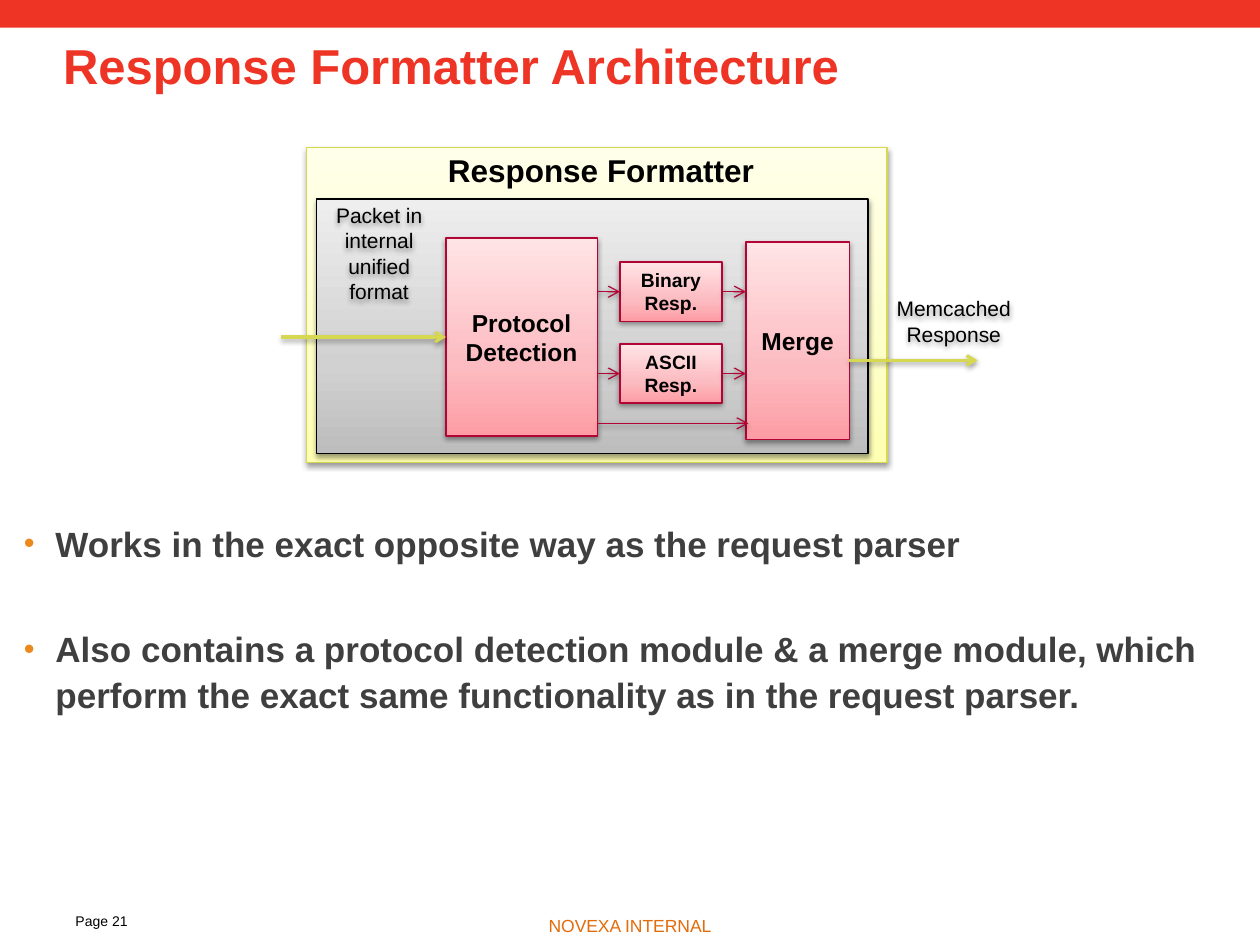
import copy
from dataclasses import dataclass
from typing import NamedTuple

import pptx
import pptx.dml.color
import pptx.enum.shapes
import pptx.enum.text
import pptx.oxml
import pptx.oxml.ns
import pptx.util
from pptx.util import Inches

ALIGN = pptx.enum.text.PP_ALIGN
ANCHOR = pptx.enum.text.MSO_ANCHOR
RECTANGLE = pptx.enum.shapes.MSO_SHAPE.RECTANGLE
STRAIGHT = pptx.enum.shapes.MSO_CONNECTOR.STRAIGHT
qn = pptx.oxml.ns.qn


@dataclass(frozen=True)
class Theme:
    font: str = "Arial"
    brand: str = "EE3424"
    body: str = "3F3F3F"
    bullet: str = "EC891D"
    footer: str = "E36C0A"
    ink: str = "000000"
    flow: str = "D7D851"
    module: str = "B20435"
    yellow_fill: tuple = ("FEFFB2", "FEFFC8", "FFFFEA")
    gray_fill: tuple = ("BDBDBD", "D1D1D1", "EEEEEE")
    pink_fill: tuple = ("FD9CA4", "FCBBC0", "FFE4E6")
    title_size: int = 28
    body_size: int = 20
    heading_size: int = 18
    module_size: int = 14
    label_size: int = 12
    response_size: int = 11
    footer_size: int = 10
    page_size: int = 8
    thin: float = 0.75
    thick: float = 1.75


THEME = Theme()


class Box(NamedTuple):
    left: float
    top: float
    width: float
    height: float

    @property
    def right(self):
        return self.left + self.width

    @property
    def middle(self):
        return self.top + self.height / 2

    def inner(self, left, top, width, height):
        return Box(self.left + left, self.top + top, width, height)

    def lengths(self):
        return [Inches(value) for value in self]


def apply_format(target, **values):
    for name, value in values.items():
        setattr(target, name, value)


def rgb(color):
    return pptx.dml.color.RGBColor.from_string(color)


def write_text(shape, lines, size, color, bold=False, paragraph_format=None, **frame_format):
    frame = shape.text_frame
    frame.text = "\n".join(lines)
    apply_format(frame, word_wrap=True, **frame_format)
    for paragraph in frame.paragraphs:
        apply_format(paragraph, **(paragraph_format or {"alignment": ALIGN.CENTER}))
        for run in paragraph.runs:
            apply_format(run.font, name=THEME.font, size=pptx.util.Pt(size), bold=bold)
            run.font.color.rgb = rgb(color)


def add_shadow(shape):
    properties = shape._element.spPr
    effects = properties.find(qn("a:effectLst"))
    if effects is None:
        effects = pptx.oxml.parse_xml(f'<a:effectLst {pptx.oxml.ns.nsdecls("a")}/>')
        properties.append(effects)
    effects.append(pptx.oxml.parse_xml(
        f'<a:outerShdw {pptx.oxml.ns.nsdecls("a")} blurRad="39370" dist="20320" '
        'dir="5400000" rotWithShape="0"><a:srgbClr val="000000">'
        '<a:alpha val="38000"/></a:srgbClr></a:outerShdw>'))


def add_panel(slide, box, colors, line_color):
    shape = slide.shapes.add_shape(RECTANGLE, *box.lengths())
    shape.shadow.inherit = False
    shape.fill.gradient()
    shape.fill.gradient_angle = 90
    stop_list = shape._element.spPr.find(".//" + qn("a:gsLst"))
    stop_list.append(copy.deepcopy(stop_list[0]))
    for stop, position, color in zip(shape.fill.gradient_stops, (0, 0.35, 1), colors):
        stop.position = position
        stop.color.rgb = rgb(color)
    shape.line.color.rgb = rgb(line_color)
    shape.line.width = pptx.util.Pt(THEME.thin)
    add_shadow(shape)
    return shape


def add_module(slide, box, text, size):
    shape = add_panel(slide, box, THEME.pink_fill, THEME.module)
    write_text(shape, [text], size, THEME.ink, True, vertical_anchor=ANCHOR.MIDDLE)


def add_arrow(slide, start, end, height, color, width):
    arrow = slide.shapes.add_connector(
        STRAIGHT, Inches(start), Inches(height), Inches(end), Inches(height))
    arrow.line.color.rgb = rgb(color)
    arrow.line.width = pptx.util.Pt(width)
    arrow.line._ln.append(pptx.oxml.parse_xml(
        f'<a:tailEnd {pptx.oxml.ns.nsdecls("a")} type="arrow"/>'))
    add_shadow(arrow)


def add_label(slide, box, lines, size, color=THEME.ink, bold=False, shadow=False, **paragraph_format):
    label = slide.shapes.add_textbox(*box.lengths())
    write_text(label, lines, size, color, bold, paragraph_format)
    if shadow:
        label.shadow.inherit = False
        add_shadow(label)


def place_placeholder(shape, box):
    apply_format(shape, **dict(zip(Box._fields, box.lengths())))


def build_header(slide, box):
    band = slide.shapes.add_shape(RECTANGLE, *box.lengths())
    band.shadow.inherit = False
    band.fill.solid()
    band.fill.fore_color.rgb = rgb(THEME.brand)
    band.line.fill.background()
    title = slide.shapes.title
    place_placeholder(title, box.inner(0.5, 0.23, 9, 0.61))
    write_text(title, ["Response Formatter Architecture"], THEME.title_size, THEME.brand, True,
               {"alignment": ALIGN.LEFT, "line_spacing": 0.98}, margin_left=0,
               vertical_anchor=ANCHOR.MIDDLE, auto_size=pptx.enum.text.MSO_AUTO_SIZE.NONE)


def build_diagram(slide, box):
    add_panel(slide, box, THEME.yellow_fill, THEME.flow)
    add_label(slide, box.inner(1, -0.02, 2.68, 0.4), ["Response Formatter"],
              THEME.heading_size, bold=True, alignment=ALIGN.CENTER)
    frame = box.inner(0.08, 0.41, 4.38, 2.02)
    add_panel(slide, frame, THEME.gray_fill, THEME.ink)
    detection = frame.inner(1.03, 0.31, 1.2, 1.57)
    merge = frame.inner(3.41, 0.34, 0.82, 1.57)
    add_module(slide, detection, "Protocol Detection", THEME.module_size)
    add_module(slide, merge, "Merge", THEME.module_size)
    for row, text in enumerate(("Binary Resp.", "ASCII Resp.")):
        response = frame.inner(2.41, 0.5 + 0.65 * row, 0.81, 0.47)
        add_module(slide, response, text, THEME.response_size)
        for start, end in ((detection.right, response.left), (response.right, merge.left)):
            add_arrow(slide, start, end, response.middle, THEME.module, THEME.thin)
    add_arrow(slide, detection.right, merge.left + 0.02, frame.top + 1.78, THEME.module, THEME.thin)
    add_arrow(slide, box.left - 0.2, detection.left, detection.middle, THEME.flow, THEME.thick)
    add_arrow(slide, merge.right, box.right + 0.72, box.top + 1.69, THEME.flow, THEME.thick)
    add_label(slide, frame.inner(0, -0.02, 1, 0.91), ["Packet in", "internal", "unified format"],
              THEME.label_size, shadow=True, alignment=ALIGN.CENTER)
    add_label(slide, box.inner(4.48, 1.13, 1.32, 0.5), ["Memcached Response"],
              THEME.label_size, shadow=True, alignment=ALIGN.CENTER)


def build_points(slide, box):
    body = slide.placeholders[1]
    place_placeholder(body, box)
    write_text(body, [
        "Works in the exact opposite way as the request parser",
        "Also contains a protocol detection module & a merge module, which perform "
        "the exact same functionality as in the request parser.",
    ], THEME.body_size, THEME.body, True, {"alignment": ALIGN.LEFT, "line_spacing": 1.1},
        margin_left=0, auto_size=pptx.enum.text.MSO_AUTO_SIZE.NONE)
    for paragraph, space in zip(body.text_frame.paragraphs, (4, 34)):
        paragraph.space_before = pptx.util.Pt(space)
        properties = paragraph._p.get_or_add_pPr()
        properties.set("marL", str(Inches(0.25)))
        properties.set("indent", str(-Inches(0.25)))
        for content in (f'buClr><a:srgbClr val="{THEME.bullet}"/></a:buClr',
                        'buSzPct val="88000"/', f'buFont typeface="{THEME.font}"/',
                        'buChar char="•"/'):
            opening = content.replace("bu", f'a:bu', 1).split(" ", 1)[0].split(">", 1)[0]
            rest = content[len(opening) - 2:]
            properties.append(pptx.oxml.parse_xml(
                f'<{opening} {pptx.oxml.ns.nsdecls("a")}{rest}>'))


def build_footer(slide, box):
    add_label(slide, box, ["NOVEXA INTERNAL"], THEME.footer_size, THEME.footer,
              alignment=ALIGN.CENTER)
    add_label(slide, box.inner(0.5, -0.02, 0.92, 0.27), ["Page 21"], THEME.page_size,
              alignment=ALIGN.LEFT)


def main():
    presentation = pptx.Presentation()
    apply_format(presentation, slide_width=Inches(10), slide_height=Inches(7.5))
    slide = presentation.slides.add_slide(presentation.slide_layouts[1])
    build_header(slide, Box(0, 0, 10, 0.22))
    build_diagram(slide, Box(2.43, 1.17, 4.61, 2.5))
    build_points(slide, Box(0.19, 4.06, 9.54, 2.68))
    build_footer(slide, Box(0, 7.21, 10, 0.32))
    presentation.save("out.pptx")


if __name__ == "__main__":
    main()
